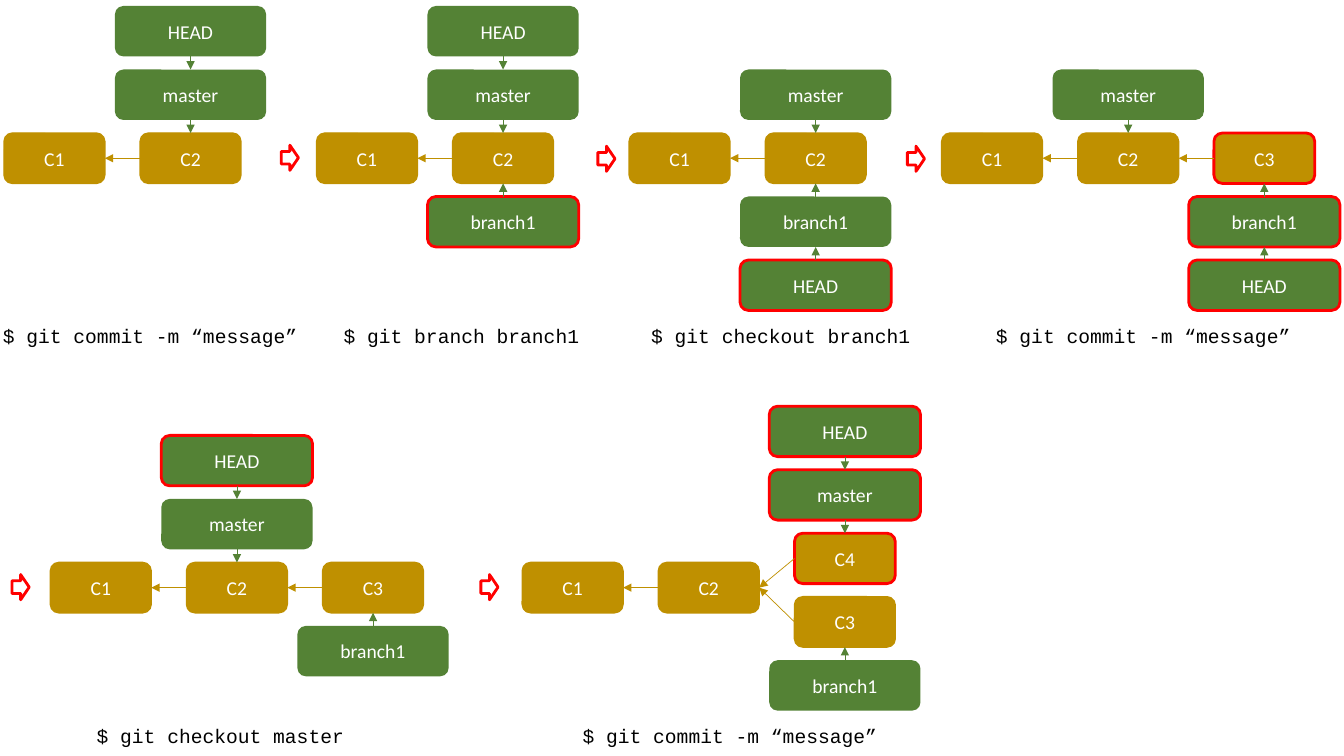
"""Build a slide that follows a git history through six commands."""
from lxml import etree
from pptx import Presentation
from pptx.dml.color import RGBColor
from pptx.enum.shapes import MSO_CONNECTOR, MSO_SHAPE
from pptx.enum.text import MSO_ANCHOR, PP_ALIGN
from pptx.oxml.ns import qn
from pptx.util import Inches, Pt

ROUNDED = MSO_SHAPE.ROUNDED_RECTANGLE
RIGHT_ARROW = MSO_SHAPE.RIGHT_ARROW
STRAIGHT = MSO_CONNECTOR.STRAIGHT
MIDDLE = MSO_ANCHOR.MIDDLE
CENTER = PP_ALIGN.CENTER

GREEN = RGBColor(0x54, 0x82, 0x35)
GOLD = RGBColor(0xBF, 0x90, 0x00)
RED = RGBColor(0xFF, 0x00, 0x00)
WHITE = RGBColor(0xFF, 0xFF, 0xFF)
BLACK = RGBColor(0x00, 0x00, 0x00)

COMMIT_W, REF_W, BOX_H = 1, 1.5, 0.5
COL_STEP, ROW_STEP = 1.35, 0.63
TOP_ROW, BOTTOM_ROW = 1.32, 5.58
TOP, LEFT, BOTTOM, RIGHT = range(4)

# Panels: left, top of the C1 box, then nodes as (name, column, row, target, is new).
PANELS = [
    (0.04, TOP_ROW, [
        ("C1", 0, 0, None, False), ("C2", 1, 0, "C1", False),
        ("master", 1, -1, "C2", False), ("HEAD", 1, -2, "master", False)]),
    (3.14, TOP_ROW, [
        ("C1", 0, 0, None, False), ("C2", 1, 0, "C1", False),
        ("master", 1, -1, "C2", False), ("HEAD", 1, -2, "master", False),
        ("branch1", 1, 1, "C2", True)]),
    (6.24, TOP_ROW, [
        ("C1", 0, 0, None, False), ("C2", 1, 0, "C1", False),
        ("master", 1, -1, "C2", False), ("branch1", 1, 1, "C2", False),
        ("HEAD", 1, 2, "branch1", True)]),
    (9.34, TOP_ROW, [
        ("C1", 0, 0, None, False), ("C2", 1, 0, "C1", False),
        ("master", 1, -1, "C2", False), ("C3", 2, 0, "C2", True),
        ("branch1", 2, 1, "C3", True), ("HEAD", 2, 2, "branch1", True)]),
    (0.5, BOTTOM_ROW, [
        ("C1", 0, 0, None, False), ("C2", 1, 0, "C1", False),
        ("master", 1, -1, "C2", False), ("HEAD", 1, -2, "master", True),
        ("C3", 2, 0, "C2", False), ("branch1", 2, 1, "C3", False)]),
    (5.18, BOTTOM_ROW, [
        ("C1", 0, 0, None, False), ("C2", 1, 0, "C1", False),
        ("C3", 2, 0.54, "C2", False), ("branch1", 2, 1.54, "C3", False),
        ("C4", 2, -0.46, "C2", True), ("master", 2, -1.46, "C4", True),
        ("HEAD", 2, -2.46, "master", True)]),
]
COMMANDS = [
    ("$ git commit -m “message”", -0.07, 3.16, 3.26),
    ("$ git branch branch1", 3.31, 3.16, 2.67),
    ("$ git checkout branch1", 6.36, 3.16, 2.9),
    ("$ git commit -m “message”", 9.78, 3.16, 3.26),
    ("$ git checkout master", 0.86, 7.13, 2.79),
    ("$ git commit -m “message”", 5.68, 7.13, 3.26),
]
STEP_ARROWS = [(2.79, 1.44), (5.93, 1.45), (9, 1.45), (0.12, 5.7), (4.77, 5.7)]


def is_commit(name):
    """Tell commits from references."""
    return name.startswith("C")


def set_font(p, name, color):
    """Set the font of a paragraph."""
    p.font.name, p.font.size, p.font.color.rgb = name, Pt(14), color


def set_line(s, color, width):
    """Set the outline of a shape."""
    s.line.color.rgb, s.line.width = color, Pt(width)


def add_node(shapes, name, center, top, is_new):
    """Add a commit or reference box."""
    width = COMMIT_W if is_commit(name) else REF_W
    sp = shapes.add_shape(ROUNDED, Inches(center - width / 2), Inches(top),
                          Inches(width), Inches(BOX_H))
    sp.shadow.inherit = False
    sp.fill.solid()
    sp.fill.fore_color.rgb = GOLD if is_commit(name) else GREEN
    if is_new:
        set_line(sp, RED, 2)
    elif is_commit(name):
        set_line(sp, GOLD, 1)
    else:
        sp.line.fill.background()
    tf = sp.text_frame
    tf.vertical_anchor = MIDDLE
    p = tf.paragraphs[0]
    p.text, p.alignment = name, CENTER
    set_font(p, "Calibri", WHITE)
    return sp


def add_link(shapes, source, target, commit):
    """Add an arrow from a box to the box it points at."""
    if commit:
        start, end = LEFT, RIGHT
    else:
        start, end = (BOTTOM, TOP) if source.top < target.top else (TOP, BOTTOM)
    cxn = shapes.add_connector(STRAIGHT, source.left, source.top, target.left, target.top)
    cxn.begin_connect(source, start)
    cxn.end_connect(target, end)
    set_line(cxn, GOLD if commit else GREEN, 0.5)
    etree.SubElement(cxn.line._get_or_add_ln(), qn("a:tailEnd"), type="triangle")
    etree.SubElement(cxn._element.spPr, qn("a:effectLst"))


prs = Presentation()
prs.slide_width, prs.slide_height = Inches(13.33), Inches(7.5)
slide = prs.slides.add_slide(prs.slide_layouts[6])

for left, top, nodes in PANELS:
    shapes = slide.shapes.add_group_shape().shapes
    boxes = {}
    for name, col, row, target, is_new in nodes:
        center = left + COMMIT_W / 2 + col * COL_STEP
        boxes[name] = add_node(shapes, name, center, top + row * ROW_STEP, is_new)
        if target:
            add_link(shapes, boxes[name], boxes[target], is_commit(name))

for command, left, top, width in COMMANDS:
    tf = slide.shapes.add_textbox(Inches(left), Inches(top), Inches(width),
                                  Inches(0.34)).text_frame
    tf.word_wrap = True
    tf.text = command
    set_font(tf.paragraphs[0], "Courier New", BLACK)

for left, top in STEP_ARROWS:
    sp = slide.shapes.add_shape(RIGHT_ARROW, Inches(left), Inches(top),
                                Inches(0.17), Inches(0.25))
    sp.shadow.inherit = False
    sp.fill.background()
    set_line(sp, RED, 2)

prs.save("out.pptx")
